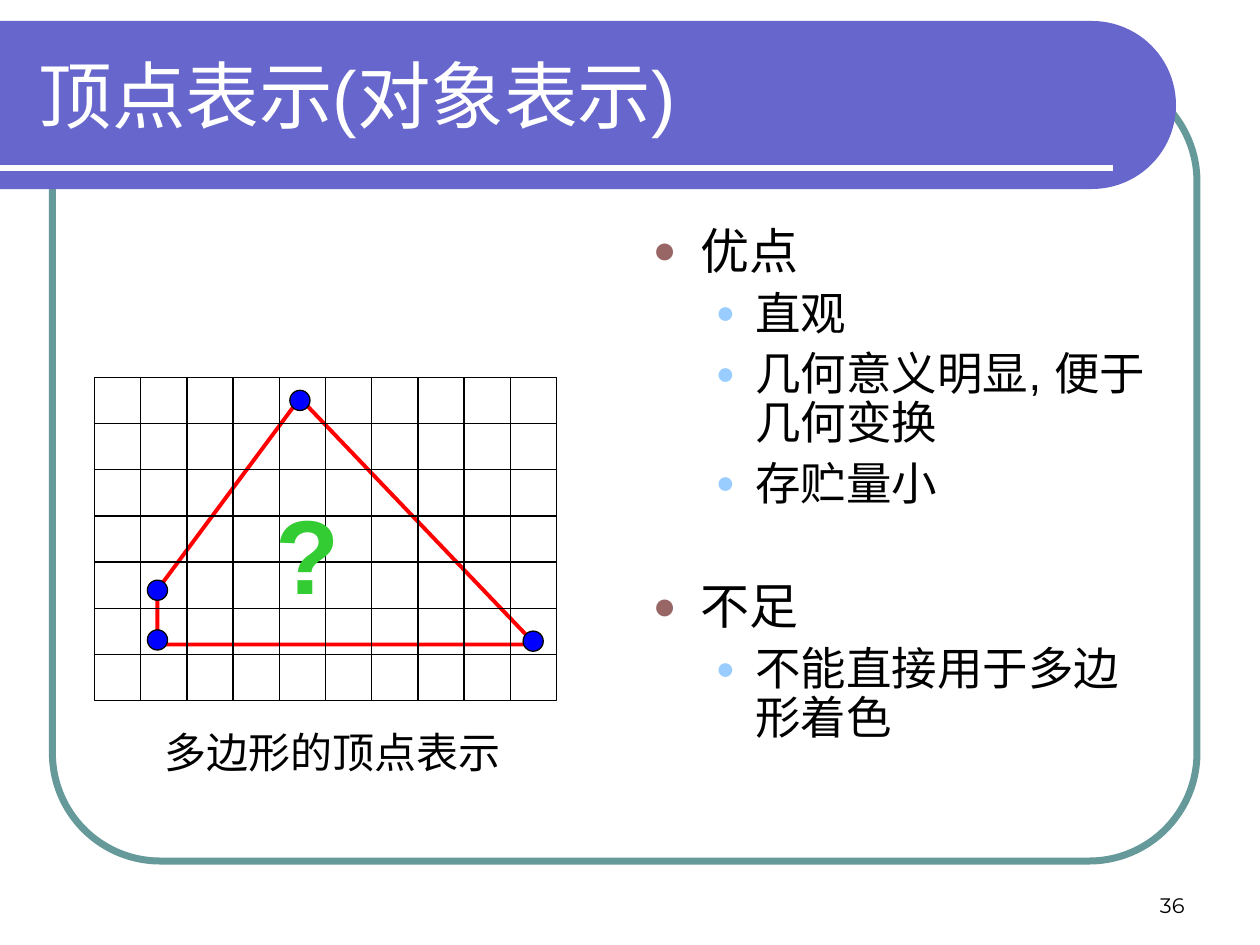
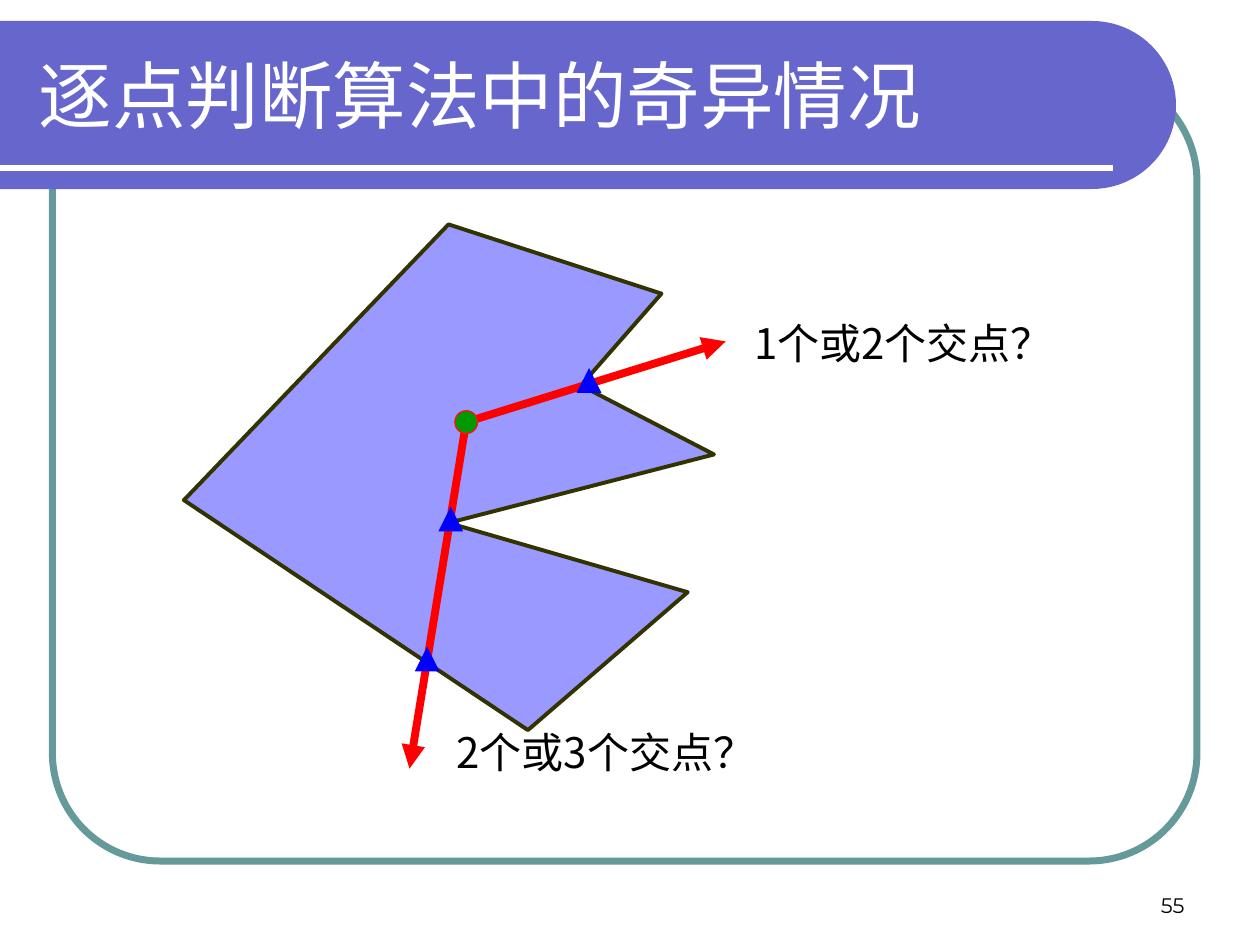
from math import cos, pi, sin

from lxml.etree import SubElement
from pptx import Presentation
from pptx.dml.color import RGBColor
from pptx.enum.shapes import MSO_CONNECTOR, MSO_SHAPE
from pptx.enum.text import MSO_ANCHOR, PP_ALIGN
from pptx.oxml.ns import qn
from pptx.util import Pt

COLORS = {
    "band": "6666CC",
    "frame": "669999",
    "white": "FFFFFF",
    "black": "000000",
    "major": "996666",
    "minor": "99CCFF",
    "red": "FF0000",
    "blue": "0000FF",
    "query": "33CC33",
    "region": "9999FF",
    "edge": "333300",
    "seed": "009900",
    "rim": "FD1503",
}
SANS = "Arial"
# Per level: font size, left margin, hanging indent, space before, bullet colour, bullet size
LEVELS = [
    (28, 27, 27, 7, "major", 80),
    (26, 58.5, 22.5, 6.5, "minor", 70),
]


def rgb(name):
    return RGBColor.from_string(COLORS[name])


def paint(shape, fill=None, line=None, width=0.75):
    shape.shadow.inherit = False
    if fill:
        shape.fill.solid()
        shape.fill.fore_color.rgb = rgb(fill)
    else:
        shape.fill.background()
    if line:
        shape.line.color.rgb = rgb(line)
        shape.line.width = Pt(width)
    else:
        shape.line.fill.background()


def add_shape(slide, kind, box, fill=None, line=None, width=0.75):
    shape = slide.shapes.add_shape(kind, *map(Pt, box))
    paint(shape, fill, line, width)
    return shape


def add_mark(slide, kind, center, size, fill, line=None):
    """Draw a small square-bounded shape around a center point."""
    x, y = center
    add_shape(slide, kind, (x - size / 2, y - size / 2, size, size), fill, line)


def add_outline(slide, points, fill, line=None, width=0.75):
    points = [(Pt(x), Pt(y)) for x, y in points]
    builder = slide.shapes.build_freeform(*points[0])
    builder.add_line_segments(points[1:], close=True)
    paint(builder.convert_to_shape(), fill, line, width)


def add_line(slide, start, end, color, width, arrow=False):
    ends = map(Pt, (*start, *end))
    link = slide.shapes.add_connector(MSO_CONNECTOR.STRAIGHT, *ends)
    link.line.color.rgb = rgb(color)
    link.line.width = Pt(width)
    if arrow:
        SubElement(link.line._get_or_add_ln(), qn("a:tailEnd"), type="triangle")
    SubElement(link._element.spPr, qn("a:effectLst"))


def style(para, size, color="black", font=SANS, bold=False):
    for run in para.runs:
        run.font.size = Pt(size)
        run.font.name = font
        run.font.bold = bold
        run.font.color.rgb = rgb(color)


def add_frame(slide, box, anchor=MSO_ANCHOR.TOP):
    frame = slide.shapes.add_textbox(*map(Pt, box)).text_frame
    frame.word_wrap = True
    frame.vertical_anchor = anchor
    return frame


def add_label(slide, box, text, size, align=PP_ALIGN.CENTER,
              anchor=MSO_ANCHOR.TOP, **look):
    frame = add_frame(slide, box, anchor)
    frame.text = text
    para = frame.paragraphs[0]
    para.alignment = align
    style(para, size, **look)


def add_bullet(para, margin, hang, color, percent):
    props = para._p.get_or_add_pPr()
    props.set("marL", str(Pt(margin)))
    props.set("indent", str(-Pt(hang)))
    tint = SubElement(props, qn("a:buClr"))
    SubElement(tint, qn("a:srgbClr"), val=COLORS[color])
    SubElement(props, qn("a:buSzPct"), val=str(percent * 1000))
    SubElement(props, qn("a:buFont"), typeface=SANS)
    SubElement(props, qn("a:buChar"), char="●")


def add_list(slide, box, items):
    """Write (level, text) items; each later major item starts a new section."""
    frame = add_frame(slide, box)
    for i, (level, text) in enumerate(items):
        size, margin, hang, before, color, percent = LEVELS[level]
        para = frame.add_paragraph() if i else frame.paragraphs[0]
        para.text = text
        para.level = level
        para.line_spacing = 0.9
        if i:
            para.space_before = Pt(before if level else before + 34)
        add_bullet(para, margin, hang, color, percent)
        style(para, size)


def add_base(deck, title, page):
    """Add a slide with its frame, title band, rule and page number."""
    slide = deck.slides.add_slide(deck.slide_layouts[6])
    frame = add_shape(slide, MSO_SHAPE.ROUNDED_RECTANGLE,
                      (30, 42, 654, 450), line="frame", width=4)
    frame.adjustments[0] = 0.137
    steps = 48
    turns = [pi * i / steps - pi / 2 for i in range(steps + 1)]
    cap = [(624 + 48 * cos(t), 60 + 48 * sin(t)) for t in turns]
    add_outline(slide, [(0, 12), *cap, (0, 108)], "band")
    add_line(slide, (0, 96), (636, 96), "white", 3)
    add_label(slide, (516, 492, 168, 36), page, 12, PP_ALIGN.RIGHT,
              MSO_ANCHOR.BOTTOM, font="Montserrat")
    add_label(slide, (15, 18, 631.5, 72), title, 42, PP_ALIGN.LEFT,
              MSO_ANCHOR.MIDDLE, color="white")
    return slide


def add_grid(slide, left, top, cols, rows, cell):
    for col in range(cols):
        for row in range(rows):
            box = (left + col * cell, top + row * cell, cell, cell)
            add_shape(slide, MSO_SHAPE.RECTANGLE, box, line="black")


def add_vertex(deck):
    slide = add_base(deck, "顶点表示(对象表示)", "36")
    add_list(slide, (366, 126, 306, 348), [
        (0, "优点"),
        (1, "直观"),
        (1, "几何意义明显, 便于几何变换"),
        (1, "存贮量小"),
        (0, "不足"),
        (1, "不能直接用于多边形着色"),
    ])
    corners = [(171.4, 227.5), (90, 337), (90, 368.3), (306, 368.3)]
    add_outline(slide, corners, "white", "red", 2.25)
    add_grid(slide, 54, 215.6, 10, 7, 26.4)
    for dot in [(171.4, 228.8), (90, 337.3), (90, 365.7), (304.7, 366.4)]:
        add_mark(slide, MSO_SHAPE.OVAL, dot, 11.5, "blue", "black")
    add_label(slide, (150, 276, 52, 79), "?", 60, color="query", bold=True)
    add_label(slide, (76.5, 411.8, 226.5, 36), "多边形的顶点表示", 24,
              font="Times New Roman")


def add_cases(deck):
    slide = add_base(deck, "逐点判断算法中的奇异情况", "55")
    region = [(256.3, 128.2), (105.1, 285.8), (301.7, 417.2), (393, 338.4),
              (256.3, 298.8), (408, 259.7), (332, 220.3), (378, 167.8)]
    add_outline(slide, region, "region", "edge", 2.25)
    seed = (266.4, 241.2)
    add_line(slide, seed, (234, 439.2), "red", 4.5, arrow=True)
    add_line(slide, seed, (414.7, 195.1), "red", 4.5, arrow=True)
    for hit in [(257.6, 296.6), (244.1, 376.6), (336.6, 217.4)]:
        add_mark(slide, MSO_SHAPE.ISOSCELES_TRIANGLE, hit, 14.2, "blue")
    add_mark(slide, MSO_SHAPE.OVAL, seed, 13, "seed", "rim")
    notes = [(417, 177.8, "1个或2个交点？"), (247, 411.8, "2个或3个交点？")]
    for x, y, text in notes:
        add_label(slide, (x, y, 198.5, 36), text, 24, font="Noto Sans CJK SC")


def main():
    deck = Presentation()
    deck.slide_width, deck.slide_height = Pt(720), Pt(540)
    add_vertex(deck)
    add_cases(deck)
    deck.save("out.pptx")


if __name__ == "__main__":
    main()
